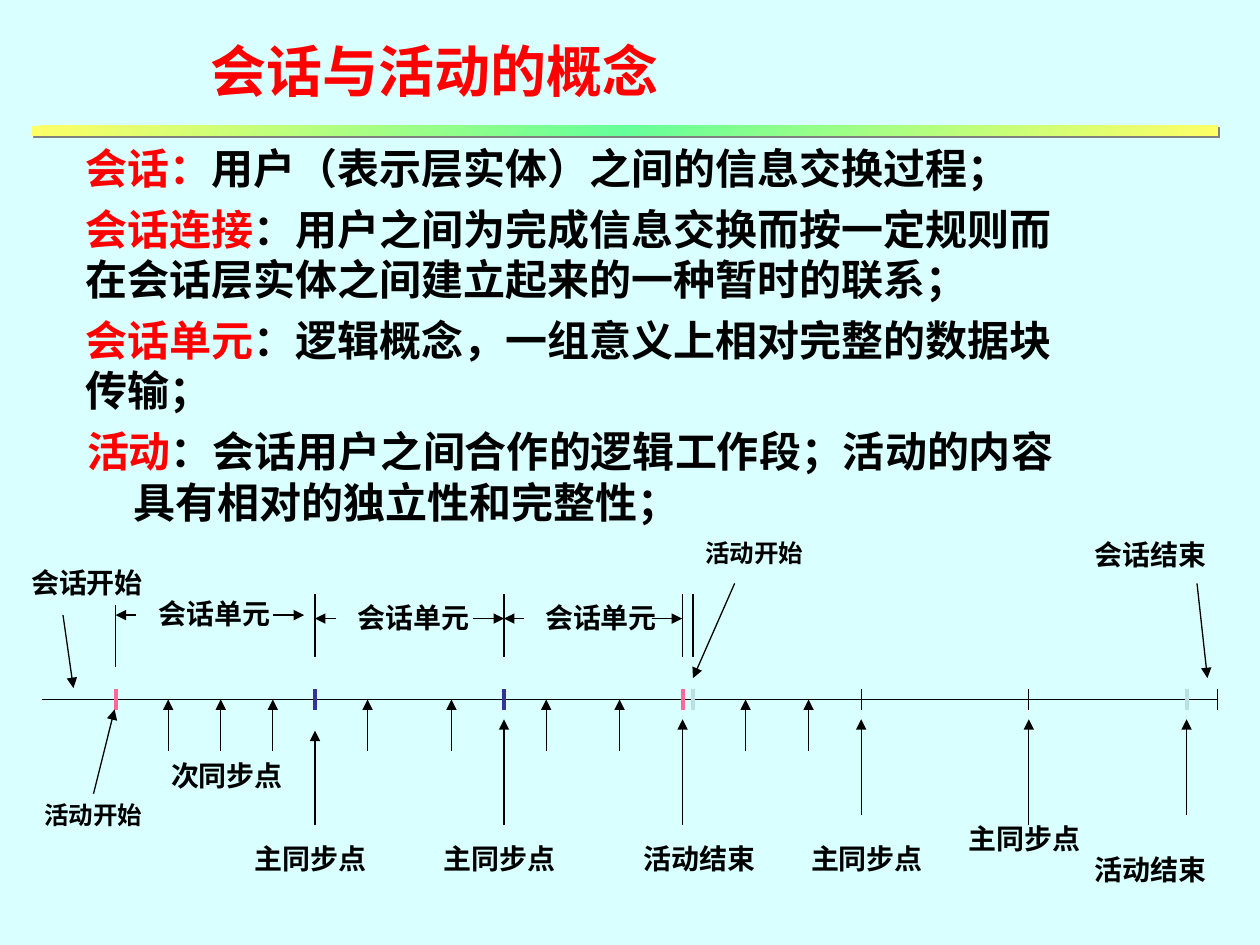
from copy import deepcopy

from lxml import etree
from pptx import Presentation
from pptx.dml.color import RGBColor
from pptx.enum.shapes import MSO_CONNECTOR, MSO_SHAPE
from pptx.enum.text import MSO_ANCHOR, MSO_AUTO_SIZE, PP_ALIGN
from pptx.oxml.ns import qn
from pptx.util import Cm, Pt

STRAIGHT = MSO_CONNECTOR.STRAIGHT
RECTANGLE = MSO_SHAPE.RECTANGLE
TOP = MSO_ANCHOR.TOP
LEFT = PP_ALIGN.LEFT
NO_AUTOFIT = MSO_AUTO_SIZE.NONE
SANS, SERIF = "Noto Sans CJK SC", "Times New Roman"
RED, BLACK, PINK, NAVY, PALE = "FF0000", "000000", "FF6699", "333399", "BBE0E3"
rgb = RGBColor.from_string


def write(box, paragraphs, size, face, wrap=True):
    """Fill a box with paragraphs, each a list of (text, colour) runs."""
    frame = box.text_frame
    frame.word_wrap = wrap
    frame.auto_size = NO_AUTOFIT
    frame.vertical_anchor = TOP
    for i, runs in enumerate(paragraphs):
        paragraph = frame.add_paragraph() if i else frame.paragraphs[0]
        properties = paragraph._p.get_or_add_pPr()
        etree.SubElement(properties, qn("a:buNone"))
        paragraph.alignment = LEFT
        paragraph.line_spacing = Pt(round(size * 1.2, 1))
        paragraph.space_before = Pt(6 if i else 0)
        paragraph.font.size = Pt(size)
        paragraph.font.bold = True
        paragraph.font.name = face
        east_asian = etree.SubElement(properties.find(qn("a:defRPr")), qn("a:ea"))
        east_asian.set("typeface", SANS)
        for text, colour in runs:
            run = paragraph.add_run()
            run.text = text
            run.font.color.rgb = rgb(colour)


def draw_line(x1, y1, x2, y2, colour=BLACK, width=0.75, arrow=False):
    line = slide.shapes.add_connector(STRAIGHT, Cm(x1), Cm(y1), Cm(x2), Cm(y2))
    line.line.color.rgb = rgb(colour)
    line.line.width = Pt(width)
    properties = line._element.spPr
    if arrow:
        etree.SubElement(properties.find(qn("a:ln")), qn("a:tailEnd")).set("type", "triangle")
    etree.SubElement(properties, qn("a:effectLst"))
    return line


prs = Presentation()
prs.slide_width, prs.slide_height = Cm(25.4), Cm(19.05)
slide = prs.slides.add_slide(prs.slide_layouts[1])
slide.background.fill.solid()
slide.background.fill.fore_color.rgb = rgb("D9FFFF")

# Title, wide enough to stay on one line
title = slide.shapes.title
title.left, title.top, title.width, title.height = Cm(3.99), Cm(0.6), Cm(10.5), Cm(1.63)
write(title, [[("会话与活动的概念", RED)]], 32, SANS)

# Activity definition, with a hanging indent
activity = slide.placeholders[1]
activity.left, activity.top, activity.width, activity.height = Cm(1.47), Cm(8.46), Cm(20.12), Cm(2.97)
write(activity, [[("活动", RED),
                  ("：会话用户之间合作的逻辑工作段；活动的内容具有相对的独立性和完整性；", BLACK)]], 24, SANS)
hanging = activity.text_frame.paragraphs[0]._p.get_or_add_pPr()
hanging.set("marL", str(Cm(0.97)))
hanging.set("indent", str(-Cm(0.94)))

# Session definitions
sessions = slide.shapes.add_textbox(Cm(1.47), Cm(2.74), Cm(20.14), Cm(5.77))
write(sessions, [
    [("会话：", RED), ("用户（表示层实体）之间的信息交换过程；", BLACK)],
    [("会话连接", RED),
     ("：用户之间为完成信息交换而按一定规则而在会话层实体之间建立起来的一种暂时的联系；", BLACK)],
    [("会话单元", RED), ("：逻辑概念，一组意义上相对完整的数据块传输；", BLACK)],
], 24, SANS)

# Gradient bar under the title
bar = slide.shapes.add_shape(RECTANGLE, Cm(0.64), Cm(2.54), Cm(23.92), Cm(0.2))
bar.line.fill.background()
bar.fill.gradient()
bar.fill.gradient_angle = 135
stop_list = bar._element.spPr.find(".//" + qn("a:gsLst"))
stop_list.insert(1, deepcopy(stop_list[0]))
for stop, position, colour in zip(bar.fill.gradient_stops, (0, 0.5, 1), ("FFFF66", "66FF99", "FFFF66")):
    stop.position = position
    stop.color.rgb = rgb(colour)
effects = etree.SubElement(bar._element.spPr, qn("a:effectLst"))
shadow = etree.SubElement(effects, qn("a:outerShdw"), dist=str(Pt(1.4)), dir="2700000", algn="ctr")
etree.SubElement(shadow, qn("a:srgbClr"), val="808080")

# Time axis and its marks
AXIS = 14.1
draw_line(0.84, AXIS, 24.55, AXIS)
for x, colour, width in [(2.33, PINK, 2.25), (6.35, NAVY, 2.25), (10.16, NAVY, 2.25),
                         (13.76, PINK, 2.25), (13.97, PALE, 2.25), (17.36, BLACK, 0.75),
                         (20.74, BLACK, 0.75), (23.92, PALE, 2.25), (24.55, BLACK, 0.75)]:
    draw_line(x, AXIS - 0.21, x, AXIS + 0.21, colour, width)

# Minor synchronisation points
for x in (3.39, 4.45, 5.5, 7.41, 9.1, 11.01, 12.49, 15.03, 16.3):
    draw_line(x, 15.14, x, AXIS, arrow=True)

# Major synchronisation points and activity ends
for x, start, end in [(6.35, 16.64, 14.73), (10.16, 16.64, 14.5), (13.76, 16.64, 14.5),
                      (17.36, 16.43, 14.5), (20.74, 16.64, 14.5), (23.92, 16.43, 14.5)]:
    draw_line(x, start, x, end, arrow=True)

# Session unit limits
for x, top in [(2.33, 12.19), (6.35, 11.98), (10.16, 11.98), (13.76, 11.98), (13.97, 11.98)]:
    draw_line(x, top, x, top + 1.26)

# Session unit spans
for y, left_from, left_to, right_from, right_to in [(12.4, 2.75, 2.33, 5.5, 6.13),
                                                    (12.47, 6.78, 6.35, 9.53, 10.16),
                                                    (12.47, 10.57, 10.16, 13.15, 13.75)]:
    draw_line(left_from, y, left_to, y, arrow=True)
    draw_line(right_from, y, right_to, y, arrow=True)

# Slanted pointers to the session start, activity starts and session end
draw_line(1.27, 12.4, 1.48, 13.87, arrow=True)
draw_line(14.81, 11.76, 13.97, 13.67, arrow=True)
draw_line(24.13, 11.76, 24.34, 13.67, arrow=True)
activity_pointer = draw_line(1.9, 16, 2.31, 14.3, arrow=True)

# Labels; the last one belongs to the first activity start
for text, left, top, size in [
    ("会话开始", 0.38, 11.28, 16), ("会话结束", 21.82, 10.72, 16), ("活动开始", 13.97, 10.72, 14),
    ("会话单元", 2.95, 11.91, 16), ("会话单元", 6.96, 11.99, 16), ("会话单元", 10.74, 11.99, 16),
    ("次同步点", 3.2, 15.16, 16), ("主同步点", 4.88, 16.84, 16), ("主同步点", 8.69, 16.84, 16),
    ("活动结束", 12.73, 16.84, 16), ("主同步点", 16.1, 16.84, 16), ("主同步点", 19.28, 16.43, 16),
    ("活动结束", 21.82, 17.07, 16), ("活动开始", 0.64, 16, 14),
]:
    width, height = (2.74, 0.94) if size == 16 else (2.49, 0.86)
    label = slide.shapes.add_textbox(Cm(left), Cm(top), Cm(width), Cm(height))
    write(label, [[(text, BLACK)]], size, SERIF, wrap=False)
activity_pointer.begin_connect(label, 0)

prs.save("out.pptx")
